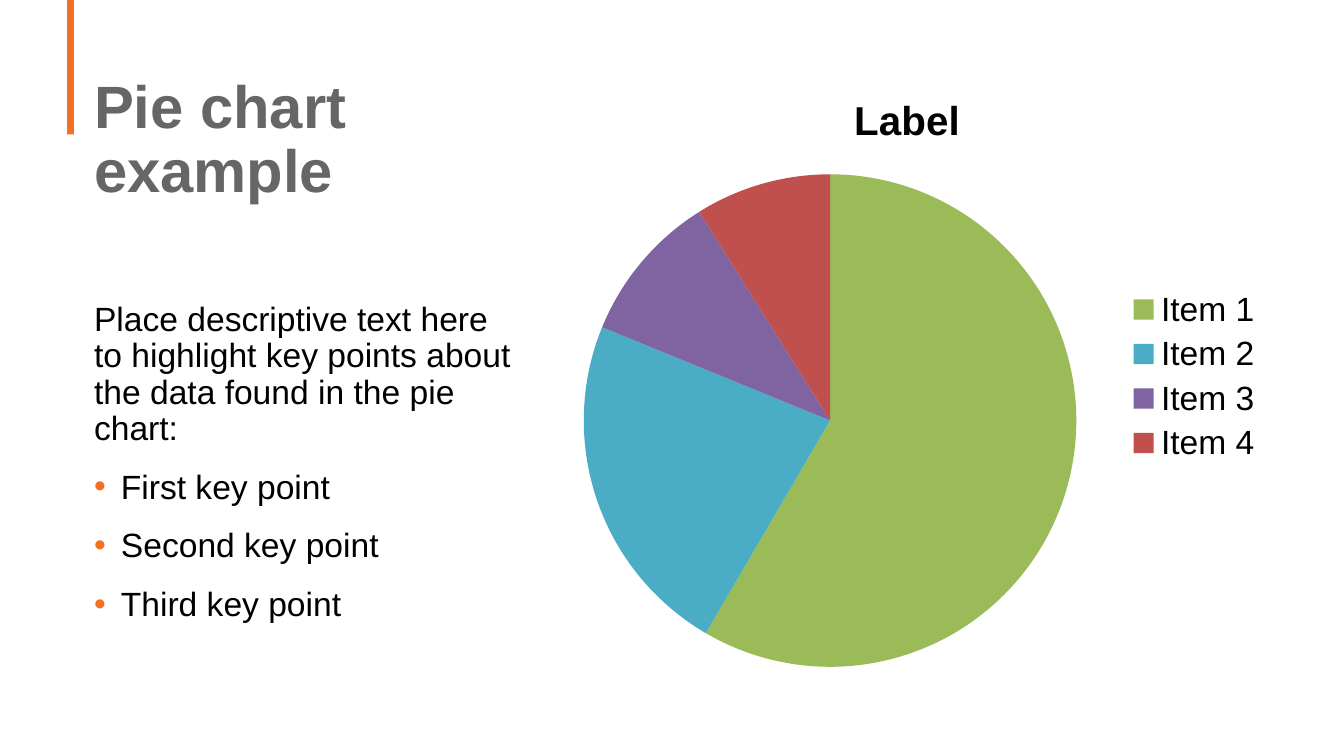
from lxml.etree import SubElement
from pptx import Presentation
from pptx.chart.data import CategoryChartData
from pptx.dml.color import RGBColor
from pptx.enum.chart import XL_CHART_TYPE, XL_LEGEND_POSITION
from pptx.enum.shapes import MSO_SHAPE
from pptx.enum.text import MSO_ANCHOR, MSO_AUTO_SIZE, PP_ALIGN
from pptx.oxml.ns import qn
from pptx.util import Inches, Pt

COLORS = {
    "accent": "F37021",
    "heading": "666666",
    "text": "000000",
    "Item 1": "9BBB59",
    "Item 2": "4BACC6",
    "Item 3": "8064A2",
    "Item 4": "C0504D",
}
SHARES = {"Item 1": 59, "Item 2": 23, "Item 3": 10, "Item 4": 9}
INTRO = "Place descriptive text here to highlight key points about the data found in the pie chart:"
KEY_POINTS = ["First key point", "Second key point", "Third key point"]


def rgb(name):
    return RGBColor.from_string(COLORS[name])


def style_font(font, size, color, bold=False):
    font.name = "Arial"
    font.size = Pt(size)
    font.bold = bold
    font.color.rgb = rgb(color)


def place(placeholder, left, top, width, height, inset_top):
    placeholder.left, placeholder.top = Inches(left), Inches(top)
    placeholder.width, placeholder.height = Inches(width), Inches(height)
    frame = placeholder.text_frame
    frame.word_wrap = True
    frame.auto_size = MSO_AUTO_SIZE.NONE
    frame.vertical_anchor = MSO_ANCHOR.TOP
    frame.margin_left = frame.margin_right = Inches(0.1)
    frame.margin_top, frame.margin_bottom = Inches(inset_top), Inches(0.05)
    return frame


def write_paragraph(paragraph, text, size, color, bold=False, space_before=0):
    paragraph.alignment = PP_ALIGN.LEFT
    paragraph.line_spacing = 0.9
    paragraph.space_before = Pt(space_before)
    run = paragraph.add_run()
    run.text = text
    style_font(run.font, size, color, bold)


def set_bullet(paragraph, bulleted):
    properties = paragraph._p.get_or_add_pPr()
    indent = Inches(0.2) if bulleted else 0
    properties.set("marL", str(indent))
    properties.set("indent", str(-indent))
    if bulleted:
        bullet_color = SubElement(properties, qn("a:buClr"))
        SubElement(bullet_color, qn("a:srgbClr"), val=COLORS["accent"])
        SubElement(properties, qn("a:buFont"), typeface="Arial")
        SubElement(properties, qn("a:buChar"), char="•")
    else:
        SubElement(properties, qn("a:buNone"))


def add_accent_bar(slide):
    bar = slide.shapes.add_shape(
        MSO_SHAPE.RECTANGLE, Inches(0.5), Inches(0), Inches(0.05), Inches(1)
    )
    bar.shadow.inherit = False
    bar.fill.solid()
    bar.fill.fore_color.rgb = rgb("accent")
    bar.line.fill.background()


def fill_title(slide):
    frame = place(slide.shapes.title, 0.6, 0.5, 3.3, 1.6, 0.07)
    write_paragraph(frame.paragraphs[0], "Pie chart example", 32, "heading", bold=True)


def fill_body(slide):
    frame = place(slide.placeholders[1], 0.6, 2.2, 3.3, 2.9, 0.05)
    intro = frame.paragraphs[0]
    set_bullet(intro, False)
    write_paragraph(intro, INTRO, 18, "text")
    for key_point in KEY_POINTS:
        paragraph = frame.add_paragraph()
        set_bullet(paragraph, True)
        write_paragraph(paragraph, key_point, 18, "text", space_before=12)


def add_pie(slide):
    share_data = CategoryChartData()
    share_data.categories = list(SHARES)
    share_data.add_series("Label", list(SHARES.values()))
    pie = slide.shapes.add_chart(
        XL_CHART_TYPE.PIE, Inches(4), Inches(0.5), Inches(5.5), Inches(4.6), share_data
    ).chart
    style_font(pie.font, 18, "text")
    pie.has_title = True
    heading = pie.chart_title.text_frame.paragraphs[0].add_run()
    heading.text = "Label"
    style_font(heading.font, 21.6, "text", bold=True)
    pie.chart_title.include_in_layout = False
    pie.has_legend = True
    pie.legend.position = XL_LEGEND_POSITION.RIGHT
    pie.legend.include_in_layout = False
    style_font(pie.legend.font, 18, "text")
    plot = pie.plots[0]
    plot.vary_by_categories = True
    for index, item in enumerate(SHARES):
        slice_format = plot.series[0].points[index].format
        slice_format.fill.solid()
        slice_format.fill.fore_color.rgb = rgb(item)
        slice_format.line.fill.background()


def main():
    presentation = Presentation()
    presentation.slide_width = Inches(10)
    presentation.slide_height = Inches(10 * 9 / 16)
    slide = presentation.slides.add_slide(presentation.slide_layouts[1])
    add_accent_bar(slide)
    fill_title(slide)
    add_pie(slide)
    fill_body(slide)
    presentation.save("out.pptx")


if __name__ == "__main__":
    main()
